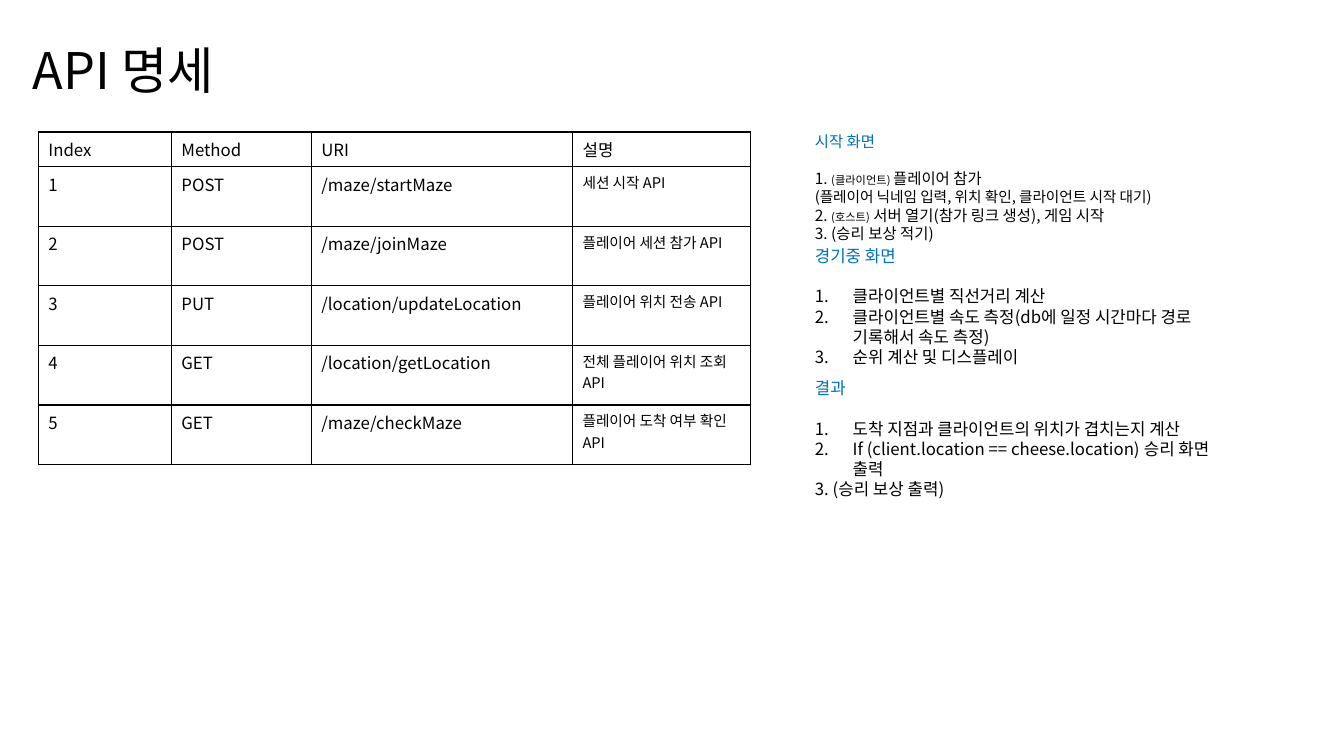
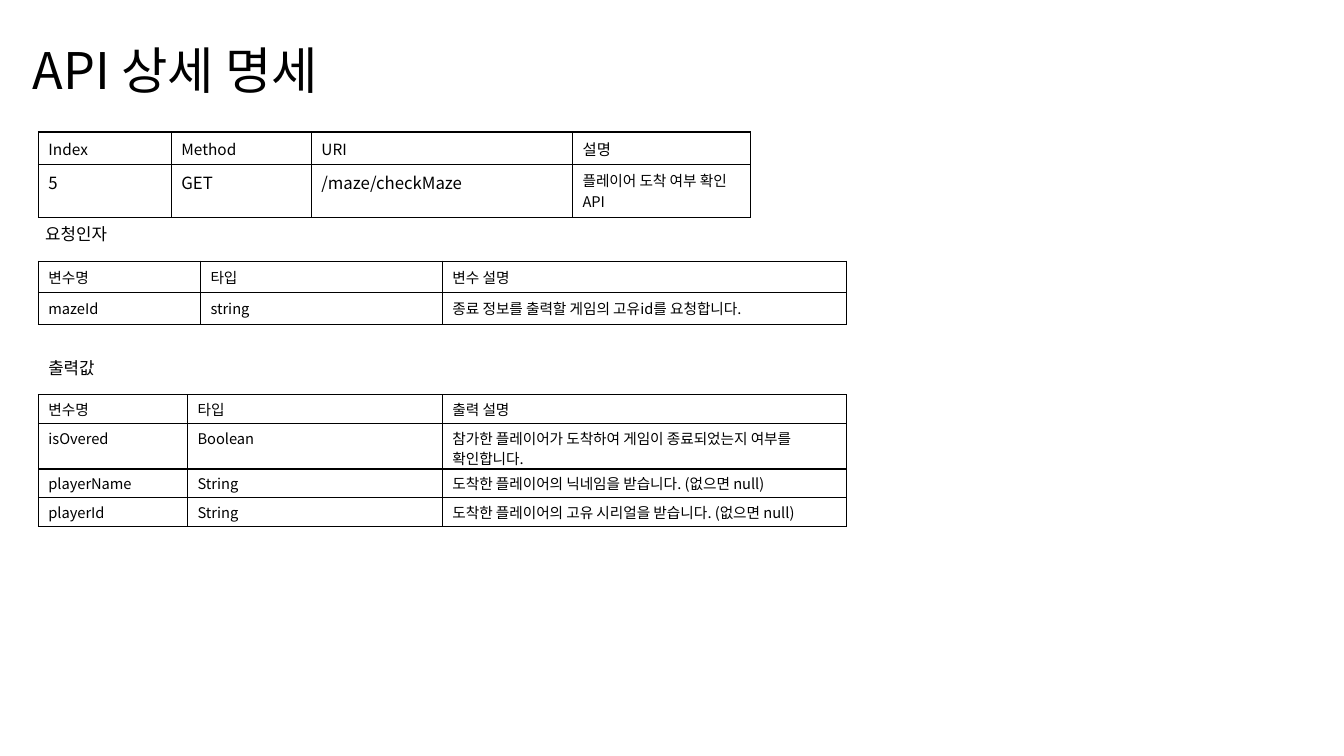
from lxml import etree
from pptx import Presentation
from pptx.dml.color import RGBColor
from pptx.enum import text
from pptx.oxml import ns
from pptx.util import Pt

FONT = "Noto Sans CJK KR"
BLACK, BLUE = "000000", "0070C0"
LEFT, TOP = 27.4, 94.3
API_COLS = [95, 100, 186.6, 127.4]
API_HEAD = ["Index", "Method", "URI", "설명"]
API_ROWS = [
    ["1", "POST", "/maze/startMaze", "세션 시작 API"],
    ["2", "POST", "/maze/joinMaze", "플레이어 세션 참가 API"],
    ["3", "PUT", "/location/updateLocation", "플레이어 위치 전송 API"],
    ["4", "GET", "/location/getLocation", "전체 플레이어 위치 조회 API"],
    ["5", "GET", "/maze/checkMaze", "플레이어 도착 여부 확인 API"],
]
API_SIZES = [12, 12, 12, 10.5]
START = [
    (False, [("1. ", 11), ("(클라이언트) ", 8), ("플레이어 참가", 11)]),
    (False, [("(플레이어 닉네임 입력, 위치 확인, 클라이언트 시작 대기)", 10.5)]),
    (False, [("2. ", 11), ("(호스트)", 8), (" 서버 열기(참가 링크 생성), 게임 시작", 11)]),
    (False, [("3. (승리 보상 적기)", 11)]),
]
RACE = [
    (True, [("클라이언트별 직선거리 계산", 12)]),
    (True, [("클라이언트별 속도 측정(db에 일정 시간마다 경로 기록해서 속도 측정)", 12)]),
    (True, [("순위 계산 및 디스플레이", 12)]),
]
RESULT = [
    (True, [("도착 지점과 클라이언트의 위치가 겹치는지 계산", 12)]),
    (True, [("If (client.location == cheese.location) 승리 화면 출력", 12)]),
    (False, [("3. (승리 보상 출력)", 12)]),
]
REQUEST = [
    ["변수명", "타입", "변수 설명"],
    ["mazeId", "string", "종료 정보를 출력할 게임의 고유id를 요청합니다."],
]
RESPONSE = [
    ["변수명", "타입", "출력 설명"],
    ["isOvered", "Boolean", "참가한 플레이어가 도착하여 게임이 종료되었는지 여부를 확인합니다."],
    ["playerName", "String", "도착한 플레이어의 닉네임을 받습니다. (없으면 null)"],
    ["playerId", "String", "도착한 플레이어의 고유 시리얼을 받습니다. (없으면 null)"],
]


def rgb(color):
    """Turn a hex string into a colour."""
    return RGBColor.from_string(color)


def add_run(p, words, size, color=BLACK):
    """Add one formatted run to a paragraph."""
    r = p.add_run()
    r.text = words
    r.font.size = Pt(size)
    r.font.name = FONT
    r.font.bold = False
    r.font.color.rgb = rgb(color)
    ea = etree.SubElement(r.font._element, ns.qn("a:ea"))
    ea.set("typeface", FONT)


def add_number(p):
    """Give a paragraph a hanging automatic number."""
    pPr = p._p.get_or_add_pPr()
    pPr.set("marL", str(Pt(27)))
    pPr.set("indent", str(Pt(-27)))
    bullet = etree.SubElement(pPr, ns.qn("a:buAutoNum"))
    bullet.set("type", "arabicPeriod")


def add_title_slide(prs, title):
    """Add a title-only slide with the shared title style."""
    s = prs.slides.add_slide(prs.slide_layouts[5])
    sp = s.shapes.title
    sp.left, sp.top, sp.width, sp.height = Pt(16), Pt(0), Pt(828), Pt(104)
    tf = sp.text_frame
    tf.auto_size = text.MSO_AUTO_SIZE.NONE
    tf.vertical_anchor = text.MSO_ANCHOR.MIDDLE
    p = tf.paragraphs[0]
    p.alignment = text.PP_ALIGN.LEFT
    p.line_spacing = 0.9
    add_run(p, title, 36)
    return s


def add_box(s, x, y, w, h, wrap=True):
    """Add a text box that grows with its text and return its frame."""
    tf = s.shapes.add_textbox(Pt(x), Pt(y), Pt(w), Pt(h)).text_frame
    tf.word_wrap = wrap
    tf.auto_size = text.MSO_AUTO_SIZE.SHAPE_TO_FIT_TEXT
    return tf


def add_section(s, x, y, w, h, heading, size, items):
    """Add a blue heading with its list one line below."""
    tf = add_box(s, x, y, w, h)
    line = Pt(size * 1.2)
    p = tf.paragraphs[0]
    p.line_spacing = p.space_after = line
    add_run(p, heading, size, BLUE)
    for numbered, runs in items:
        p = tf.add_paragraph()
        p.line_spacing = line
        if numbered:
            add_number(p)
        for words, run_size in runs:
            add_run(p, words, run_size)


def add_label(s, x, y, w, words):
    """Add a one-line label above a table."""
    p = add_box(s, x, y, w, 21.6, wrap=False).paragraphs[0]
    p.line_spacing = Pt(14.4)
    add_run(p, words, 12)


def set_borders(cell):
    """Draw thin black lines on all four sides of a cell."""
    tcPr = cell._tc.get_or_add_tcPr()
    for i, side in enumerate(("lnL", "lnR", "lnT", "lnB")):
        ln = etree.Element(ns.qn("a:" + side), w=str(Pt(1)))
        fill = etree.SubElement(ln, ns.qn("a:solidFill"))
        etree.SubElement(fill, ns.qn("a:srgbClr"), val=BLACK)
        tcPr.insert(i, ln)


def add_grid(s, x, y, cols, heights, rows, sizes, head_size, tight=False):
    """Add a plain ruled table, with one text size per column."""
    frame = s.shapes.add_table(len(rows), len(cols), Pt(x), Pt(y), Pt(sum(cols)), Pt(sum(heights)))
    table = frame.table
    table.first_row = table.horz_banding = False
    for column, width in zip(table.columns, cols):
        column.width = Pt(width)
    for i, (row, height) in enumerate(zip(rows, heights)):
        table.rows[i].height = Pt(height)
        for j, words in enumerate(row):
            cell = table.cell(i, j)
            cell.fill.background()
            set_borders(cell)
            p = cell.text_frame.paragraphs[0]
            if tight:
                cell.margin_bottom = Pt(0)
                p.line_spacing = Pt(14.4)
            add_run(p, words, sizes[j] if i else head_size)


def build_overview(prs):
    """Build the slide that lists every call and the screens."""
    s = add_title_slide(prs, "API 명세")
    heights = [24] + [42.6] * len(API_ROWS)
    add_grid(s, LEFT, TOP, API_COLS, heights, [API_HEAD] + API_ROWS, API_SIZES, 12)
    x, w = 575, 308
    add_section(s, x, 90.7, w, 90, "시작 화면", 11, START)
    add_section(s, x, 172, w, 94.3, "경기중 화면", 12, RACE)
    add_section(s, x, 266.4, w, 94.3, "결과", 12, RESULT)


def build_detail(prs):
    """Build the slide that details one call."""
    s = add_title_slide(prs, "API 상세 명세")
    add_grid(s, LEFT, TOP, API_COLS, [23, 38], [API_HEAD, API_ROWS[-1]], API_SIZES, 11)
    add_label(s, 25.2, 156.2, 63.4, "요청인자")
    add_grid(s, LEFT, 186.6, [115.8, 172.8, 288.6], [22.5] * 2, REQUEST, [10.5] * 3, 10.5)
    add_label(s, LEFT, 252, 51, "출력값")
    add_grid(s, LEFT, 282, [106.6, 182, 288.6], [20.5, 32.5, 20.5, 20.5],
             RESPONSE, [10.5] * 3, 10.5, tight=True)


def main():
    """Build and save the presentation."""
    prs = Presentation()
    prs.slide_width, prs.slide_height = Pt(960), Pt(540)
    build_overview(prs)
    build_detail(prs)
    prs.save("out.pptx")


if __name__ == "__main__":
    main()
